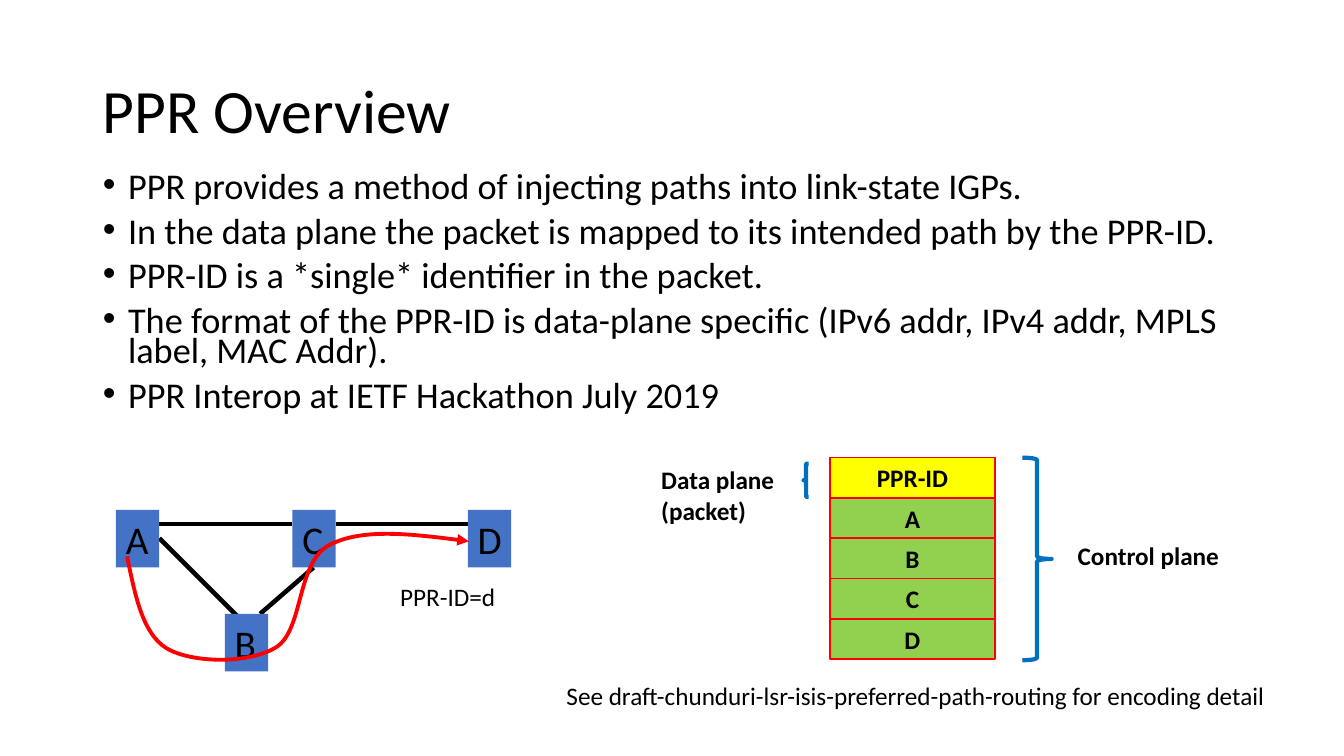
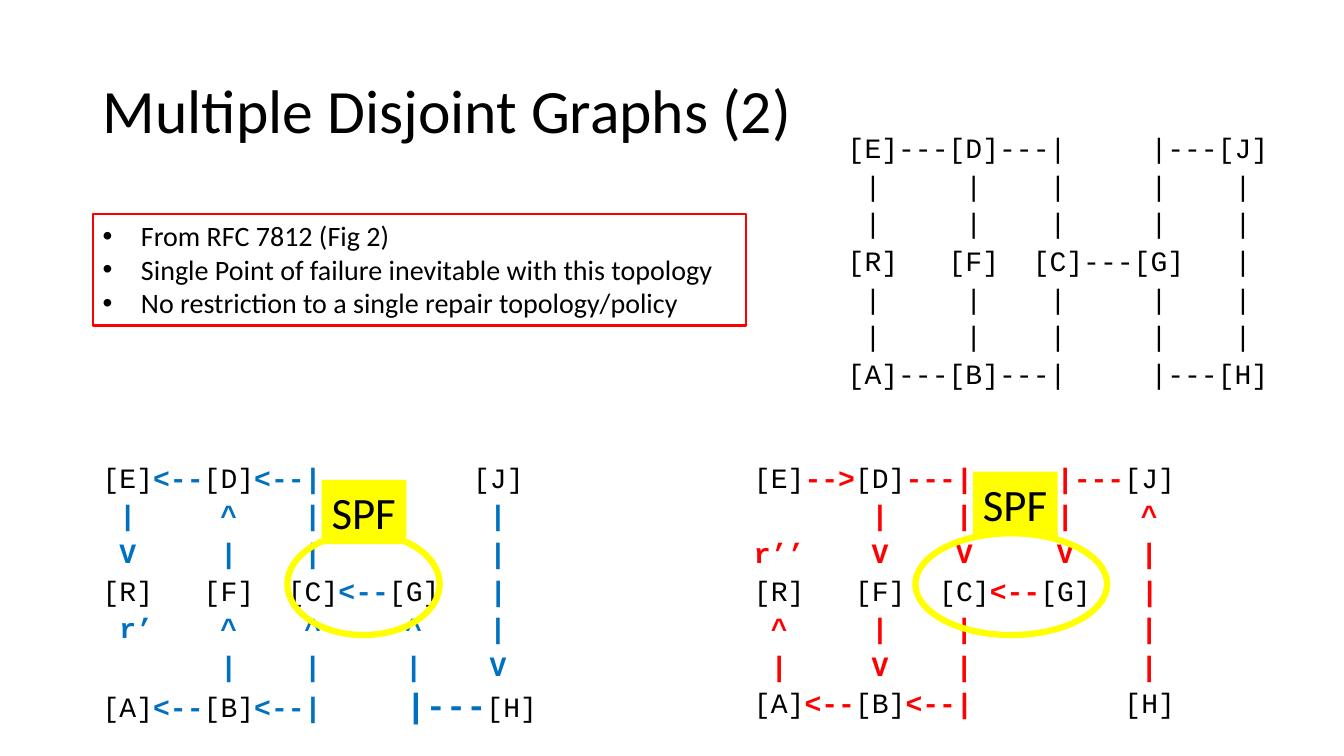
from lxml.etree import SubElement
from pptx import Presentation
from pptx.dml.color import RGBColor
from pptx.enum.shapes import MSO_CONNECTOR, MSO_SHAPE
from pptx.enum.text import MSO_ANCHOR, MSO_AUTO_SIZE, PP_ALIGN
from pptx.oxml.ns import qn
from pptx.util import Inches, Pt

BLACK = RGBColor(0x00, 0x00, 0x00)
RED = RGBColor(0xFF, 0x00, 0x00)
BLUE = RGBColor(0x00, 0x70, 0xC0)
NODE_BLUE = RGBColor(0x44, 0x72, 0xC4)
YELLOW = RGBColor(0xFF, 0xFF, 0x00)
GREEN = RGBColor(0x92, 0xD0, 0x50)
SANS, MONO = "Calibri", "Courier New"

# Content: overview slide
OVERVIEW_BULLETS = [
    "PPR provides a method of injecting paths into link-state IGPs.",
    "In the data plane the packet is mapped to its intended path by the PPR-ID.",
    "PPR-ID is a *single* identifier in the packet.",
    "The format of the PPR-ID is data-plane specific (IPv6 addr, IPv4 addr, MPLS label, MAC Addr).",
    "PPR Interop at IETF Hackathon July 2019",
]
LINKS = [
    ((1.58, 5.34), (2.58, 6.34)),
    ((1.58, 5.2), (2.9, 5.2)),
    ((3.33, 5.2), (4.64, 5.2)),
    ((2.58, 6.09), (3.11, 5.63)),
]
NODES = {"A": (1.15, 5.06), "C": (2.9, 5.06), "B": (2.23, 6.09), "D": (4.64, 5.06)}
# Start point, then two control points and an end point for each curve
ROUTE = [
    (1.26, 5.52),
    (1.34, 5.9), (1.41, 6.28), (1.65, 6.43),
    (1.9, 6.58), (2.47, 6.59), (2.74, 6.42),
    (3.01, 6.25), (2.94, 5.59), (3.26, 5.41),
    (3.58, 5.24), (4.12, 5.3), (4.65, 5.37),
]
STACK = ["PPR-ID", "A", "B", "C", "D"]
BRACES = [
    (MSO_SHAPE.RIGHT_BRACE, (10.14, 4.54, 0.29, 2.01)),
    (MSO_SHAPE.LEFT_BRACE, (7.97, 4.6, 0.05, 0.33)),
]
LABELS = [
    (["PPR-ID=d"], (3.87, 5.72, 1.15, 0.4), False),
    (["See draft-chunduri-lsr-isis-preferred-path-routing for encoding detail"],
     (5.52, 6.7, 7.29, 0.4), False),
    (["Control plane"], (10.59, 5.31, 1.66, 0.4), True),
    (["Data plane", "(packet)"], (6.46, 4.56, 1.37, 0.71), True),
]

# Content: disjoint graphs slide, as fixed-width diagrams
GRAPH_NOTES = [
    "From RFC 7812 (Fig 2)",
    "Single Point of failure inevitable with this topology",
    "No restriction to a single repair topology/policy",
]
TOPOLOGY = [
    "[E]---[D]---|     |---[J]",
    " |     |    |     |    |",
    " |     |    |     |    |",
    "[R]   [F]  [C]---[G]   |",
    " |     |    |     |    |",
    " |     |    |     |    |",
    "[A]---[B]---|     |---[H]",
]
BLUE_GRAPH = [
    "[E]<--[D]<--|         [J]",
    " |     ^    |          |",
    " V     |    |          |",
    "[R]   [F]  [C]<--[G]   |",
    " r’    ^    ^     ^    |",
    "       |    |     |    V",
    "[A]<--[B]<--|     |---[H]",
]
RED_GRAPH = [
    "[E]-->[D]---|     |---[J]",
    "       |    |     |    ^",
    "r’’    V    V     V    |",
    "[R]   [F]  [C]<--[G]   |",
    " ^     |    |          |",
    " |     V    |          |",
    "[A]<--[B]<--|         [H]",
]
# Rows, place, link colour, links in bold, size of the "|---" links
GRAPHS = [
    (BLUE_GRAPH, (0.92, 4.61, 4.54, 2.67), BLUE, True, 24),
    (TOPOLOGY, (8.31, 1.34, 4.54, 2.62), BLACK, False, 20),
    (RED_GRAPH, (7.38, 4.61, 4.54, 2.62), RED, True, 20),
]
# Ellipse and its label
SPF_MARKS = [
    ((2.85, 5.29, 1.51, 1.01), (3.19, 4.76, 0.84, 0.64)),
    ((9.08, 5.29, 1.9, 1.01), (9.65, 4.68, 0.84, 0.64)),
]


def write(shape, lines, size=18, font=SANS, color=BLACK, bold=False, align=PP_ALIGN.LEFT,
          anchor=MSO_ANCHOR.TOP, wrap=True, grow=True, spacing=None, before=0, bullet_indent=None):
    """Each line is a string or a list of (text, format overrides) runs."""
    frame = shape.text_frame
    frame.word_wrap = wrap
    frame.vertical_anchor = anchor
    frame.auto_size = MSO_AUTO_SIZE.SHAPE_TO_FIT_TEXT if grow else MSO_AUTO_SIZE.NONE
    for index, line in enumerate(lines):
        paragraph = frame.add_paragraph() if index else frame.paragraphs[0]
        paragraph.alignment = align
        paragraph.space_before = Pt(before)
        if spacing:
            paragraph.line_spacing = spacing
        if bullet_indent:
            properties = paragraph._p.get_or_add_pPr()
            properties.set("marL", str(Inches(bullet_indent)))
            properties.set("indent", str(-Inches(bullet_indent)))
            SubElement(properties, qn("a:buFont"), typeface="Arial")
            SubElement(properties, qn("a:buChar"), char="•")
        for text, changes in [(line, {})] if isinstance(line, str) else line:
            style = {"size": size, "color": color, "bold": bold, **changes}
            run = paragraph.add_run()
            run.text = text
            run.font.name = font
            run.font.size = Pt(style["size"])
            run.font.bold = style["bold"]
            run.font.color.rgb = style["color"]


def paint(shape, fill=None, line=None, width=1):
    shape.shadow.inherit = False
    if fill is None:
        shape.fill.background()
    else:
        shape.fill.solid()
        shape.fill.fore_color.rgb = fill
    if line is None:
        shape.line.fill.background()
    else:
        shape.line.color.rgb = line
        shape.line.width = Pt(width)


def add_figure(slide, kind, box, **look):
    shape = slide.shapes.add_shape(kind, *map(Inches, box))
    paint(shape, **look)
    return shape


def add_text(slide, lines, box, **style):
    write(slide.shapes.add_textbox(*map(Inches, box)), lines, **style)


def place(shape, box):
    shape.left, shape.top, shape.width, shape.height = map(Inches, box)


def add_slide(layout_index, title):
    slide = presentation.slides.add_slide(presentation.slide_layouts[layout_index])
    place(slide.shapes.title, (0.92, 0.4, 11.5, 1.45))
    write(slide.shapes.title, [title], size=44, anchor=MSO_ANCHOR.MIDDLE, grow=False, spacing=0.9)
    return slide


def add_link(slide, start, end):
    link = slide.shapes.add_connector(MSO_CONNECTOR.STRAIGHT, *map(Inches, start + end))
    link.line.color.rgb = BLACK
    link.line.width = Pt(3.25)
    SubElement(link.element.spPr, qn("a:effectLst"))


def add_curved_arrow(slide, points):
    start, *others = [(Inches(x), Inches(y)) for x, y in points]
    builder = slide.shapes.build_freeform(*start)
    builder.add_line_segments(others, close=False)
    arrow = builder.convert_to_shape()
    paint(arrow, line=RED, width=2.75)
    # Join every three straight segments into one Bezier curve
    outline = next(arrow.element.iter(qn("a:path")))
    segments = outline.findall(qn("a:lnTo"))
    for first in range(0, len(segments), 3):
        curve = SubElement(outline, qn("a:cubicBezTo"))
        for segment in segments[first:first + 3]:
            curve.append(segment[0])
            outline.remove(segment)
    SubElement(next(arrow.element.iter(qn("a:ln"))), qn("a:tailEnd"), type="triangle")


def graph_runs(row, color, bold, long_link_size):
    """Nodes stay plain black; the links between them take the colour."""
    for mark, split in (("[", "\n["), ("]", "]\n"), ("|---", "\n|---\n")):
        row = row.replace(mark, split)
    runs = []
    for piece in filter(None, row.split("\n")):
        link = {"color": color, "bold": bold}
        if piece == "|---":
            link["size"] = long_link_size
        runs.append((piece, {} if piece.startswith("[") else link))
    return runs


presentation = Presentation()
presentation.slide_width, presentation.slide_height = Inches(13.33), Inches(7.5)

# Overview: bullets
overview = add_slide(1, "PPR Overview")
body = overview.placeholders[1]
place(body, (0.92, 1.69, 11.5, 2.6))
write(body, OVERVIEW_BULLETS, size=25.9, grow=False, spacing=0.7, before=10, bullet_indent=0.25)

# Overview: network with the preferred route
for start, end in LINKS:
    add_link(overview, start, end)
for name, corner in NODES.items():
    node = add_figure(overview, MSO_SHAPE.RECTANGLE, corner + (0.43, 0.57), fill=NODE_BLUE)
    write(node, [name], size=28, wrap=False)
add_curved_arrow(overview, ROUTE)

# Overview: identifier stack, braces and labels
for level, name in enumerate(STACK):
    cell = add_figure(overview, MSO_SHAPE.RECTANGLE, (8.23, 4.54 + 0.4 * level, 1.64, 0.4),
                      fill=GREEN if level else YELLOW, line=RED, width=1.25)
    write(cell, [name], bold=True, align=PP_ALIGN.CENTER)
for kind, box in BRACES:
    add_figure(overview, kind, box, line=BLUE, width=3)
for lines, box, bold in LABELS:
    add_text(overview, lines, box, bold=bold, wrap=False)

# Disjoint graphs: diagrams
graphs = add_slide(5, "Multiple Disjoint Graphs (2)")
for rows, box, color, bold, long_link_size in GRAPHS:
    lines = [graph_runs(row, color, bold, long_link_size) for row in rows]
    add_text(graphs, lines, box, size=20, font=MONO, spacing=0.7, before=10)

# Disjoint graphs: notes and shortest path marks
notes_box = add_figure(graphs, MSO_SHAPE.RECTANGLE, (0.92, 2.12, 6.48, 1.11), line=RED, width=1.5)
write(notes_box, GRAPH_NOTES, size=20, bullet_indent=0.38)
for ring, tag in SPF_MARKS:
    add_figure(graphs, MSO_SHAPE.OVAL, ring, line=YELLOW, width=4.5)
    write(add_figure(graphs, MSO_SHAPE.RECTANGLE, tag, fill=YELLOW), ["SPF"], size=32, wrap=False)

presentation.save("out.pptx")
